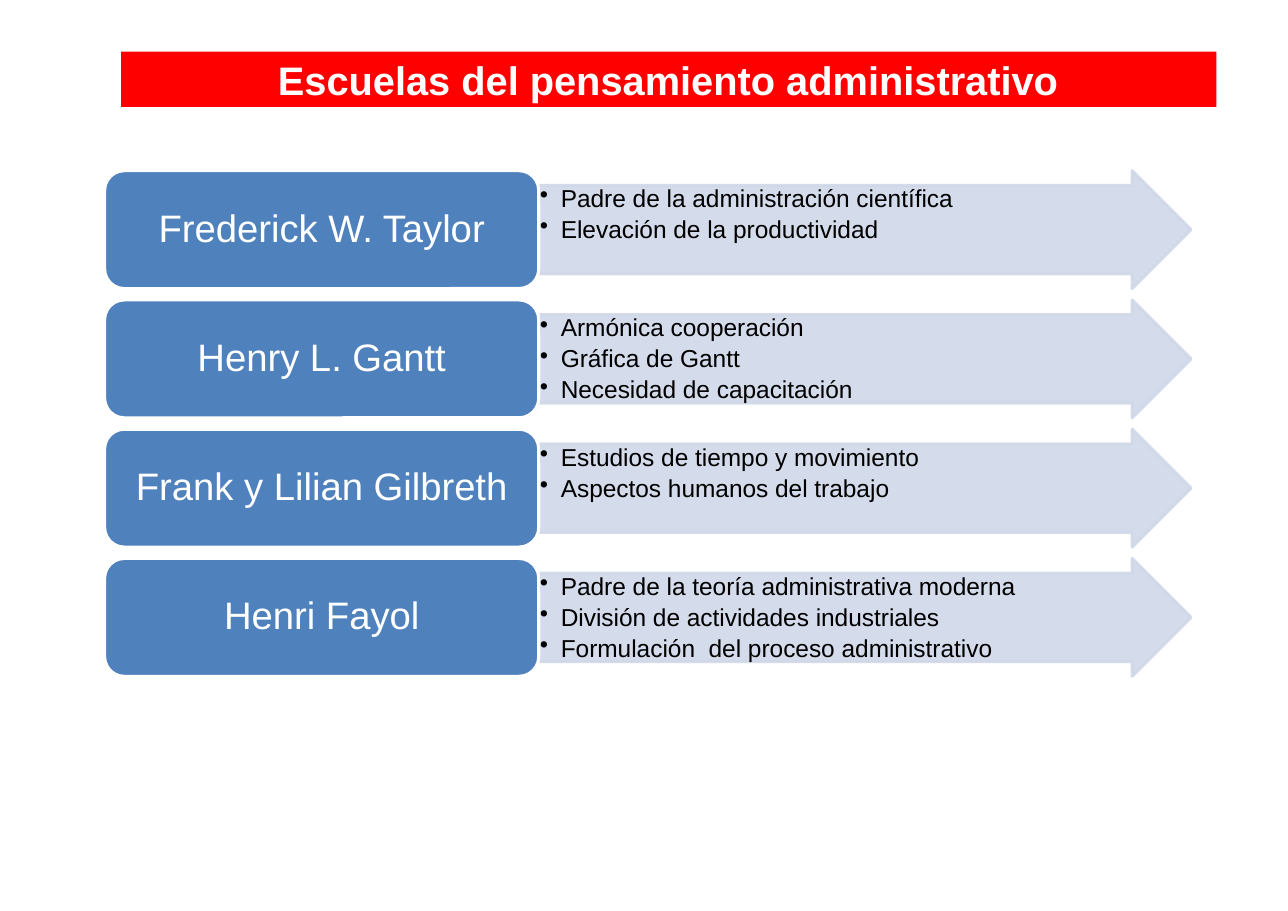
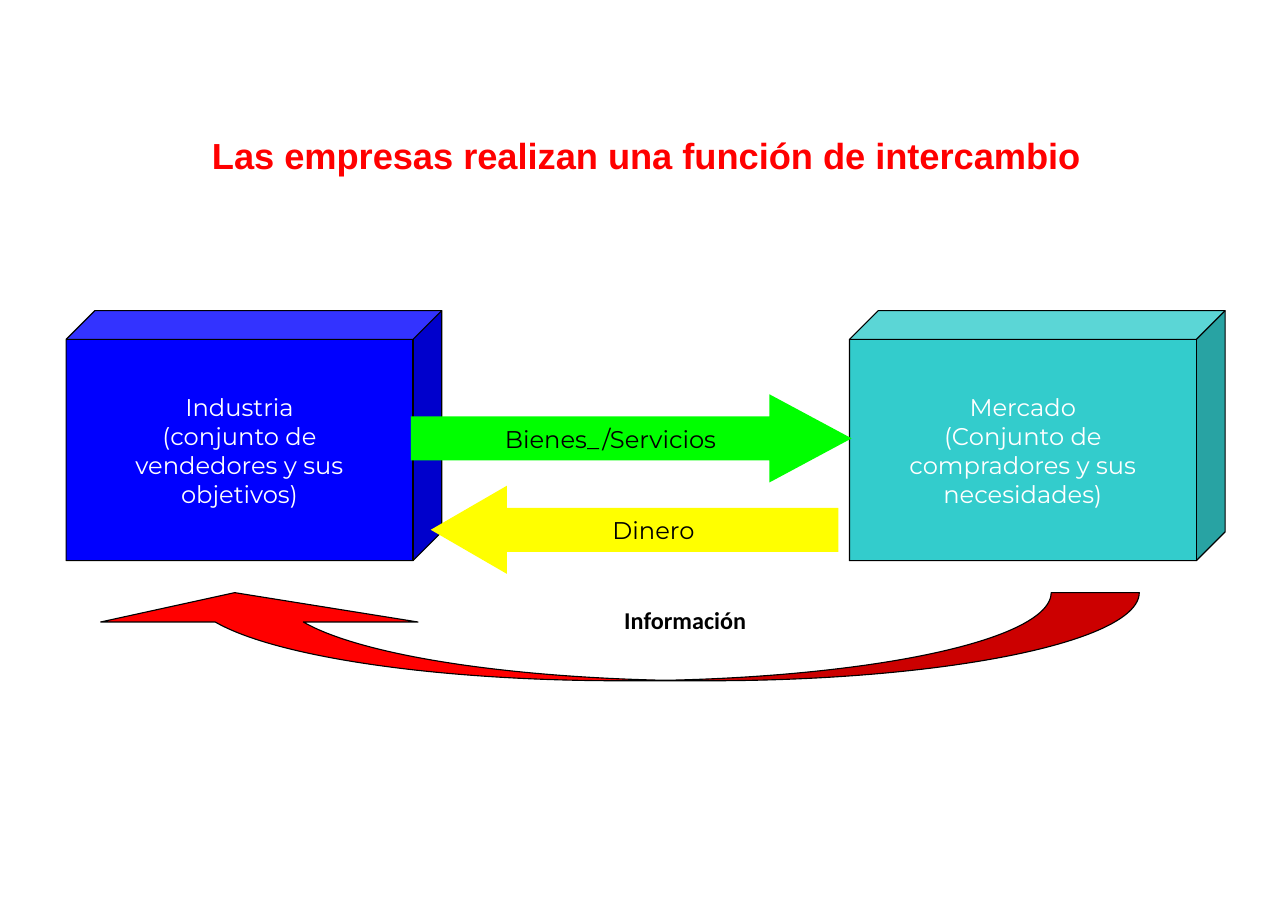
from dataclasses import dataclass

from lxml.etree import SubElement
from pptx import Presentation
from pptx.dml.color import RGBColor
from pptx.enum.shapes import MSO_SHAPE as Preset
from pptx.enum.text import MSO_ANCHOR as Anchor, PP_ALIGN as Align
from pptx.oxml.ns import qn
from pptx.util import Inches, Pt

# Content
SCHOOLS_TITLE = "Escuelas del pensamiento administrativo"
SCHOOLS = [
    ("Frederick W. Taylor", ["Padre de la administración científica",
                             "Elevación de la productividad"]),
    ("Henry L. Gantt", ["Armónica cooperación",
                        "Gráfica de Gantt",
                        "Necesidad de capacitación"]),
    ("Frank y Lilian Gilbreth", ["Estudios de tiempo y movimiento",
                                 "Aspectos humanos del trabajo"]),
    ("Henri Fayol", ["Padre de la teoría administrativa moderna",
                     "División de actividades industriales",
                     "Formulación  del proceso administrativo"]),
]

EXCHANGE_TITLE = "Las empresas realizan una función de intercambio"
INDUSTRY = ["Industria", "(conjunto de", "vendedores y sus", "objetivos)"]
MARKET = ["Mercado", "(Conjunto de", "compradores y sus", "necesidades)"]
GOODS = ["Bienes_/Servicios"]
MONEY = ["Dinero"]
INFORMATION = ["Información"]


# Shared look
@dataclass(frozen=True)
class Theme:
    white: str = "FFFFFF"
    black: str = "000000"
    red: str = "FF0000"
    author: str = "4F81BD"
    ideas: str = "D0D8E8"
    industry: str = "0000FF"
    market: str = "33CCCC"
    goods: str = "00FF00"
    money: str = "FFFF00"
    main_font: str = "Arial"
    diagram_font: str = "Montserrat"
    label_font: str = "Calibri"
    band_title_size: float = 26
    plain_title_size: float = 23.7
    author_size: float = 25
    idea_size: float = 16
    diagram_size: float = 15.8
    heavy_line: float = 2
    thin_line: float = 0.75


THEME = Theme()


def rgb(code):
    return RGBColor.from_string(code)


def add_part(slide, preset, box, fill=None, line=None, width=THEME.thin_line, adjust=()):
    """Add a preset shape; without a fill it is a plain text box."""
    place = [Inches(length) for length in box]
    if fill is None:
        return slide.shapes.add_textbox(*place)
    part = slide.shapes.add_shape(preset, *place)
    part.shadow.inherit = False
    for index, value in enumerate(adjust):
        part.adjustments[index] = value
    part.fill.solid()
    part.fill.fore_color.rgb = rgb(fill)
    if line:
        part.line.color.rgb = rgb(line)
        part.line.width = Pt(width)
    else:
        part.line.fill.background()
    return part


def write(part, lines, size, color, font=THEME.main_font, bold=False, align=Align.CENTER,
          anchor=Anchor.MIDDLE, wrap=True, inset=(0.1, 0.05)):
    frame = part.text_frame
    frame.text = "\n".join(lines)
    frame.word_wrap = wrap
    frame.vertical_anchor = anchor
    frame.margin_left = frame.margin_right = Inches(inset[0])
    frame.margin_top = frame.margin_bottom = Inches(inset[1])
    for paragraph in frame.paragraphs:
        paragraph.alignment = align
        for run in paragraph.runs:
            run.font.size = Pt(size)
            run.font.name = font
            run.font.bold = bold
            run.font.color.rgb = rgb(color)


def add_title(slide, text, box, size, color, band=None):
    title = add_part(slide, Preset.RECTANGLE, box, band)
    write(title, [text], size, color, bold=True)


def add_bullets(paragraphs, indent=0.19):
    for paragraph in paragraphs:
        paragraph.line_spacing = 0.9
        paragraph.space_after = Pt(3)
        properties = paragraph._p.get_or_add_pPr()
        properties.set("marL", str(Inches(indent)))
        properties.set("indent", str(Inches(-indent)))
        SubElement(properties, qn("a:buChar")).set("char", "•")


def make_translucent(part, percent):
    for color in part._element.spPr.iter(qn("a:srgbClr")):
        SubElement(color, qn("a:alpha")).set("val", str(percent * 1000))


# Slide 1: one row per author, name on the left and ideas in the arrow
def build_schools(slide):
    add_title(slide, SCHOOLS_TITLE, (1.1, 0.47, 9.94, 0.5),
              THEME.band_title_size, THEME.white, band=THEME.red)
    left, first_top, last_top, height = 0.95, 1.55, 5.07, 1.07
    author_width, ideas_width = 3.94, 5.92
    pitch = (last_top - first_top) / (len(SCHOOLS) - 1)

    for row, (author, ideas) in enumerate(SCHOOLS):
        top = first_top + row * pitch
        arrow = add_part(slide, Preset.RIGHT_ARROW,
                         (left + author_width, top, ideas_width, height),
                         THEME.ideas, THEME.ideas, THEME.heavy_line, (0.75, 0.5))
        make_translucent(arrow, 90)
        write(arrow, ideas, THEME.idea_size, THEME.black, align=Align.LEFT,
              anchor=Anchor.TOP, inset=(0.01, 0.01))
        add_bullets(arrow.text_frame.paragraphs)

        name_box = add_part(slide, Preset.ROUNDED_RECTANGLE,
                            (left, top, author_width, height),
                            THEME.author, THEME.white, THEME.heavy_line)
        write(name_box, [author], THEME.author_size, THEME.white)
        name_box.text_frame.paragraphs[0].line_spacing = 0.9


# Slide 2: two blocks that exchange goods, money and information
def build_exchange(slide):
    add_title(slide, EXCHANGE_TITLE, (0.6, 1.1, 10.53, 0.62),
              THEME.plain_title_size, THEME.red)

    blocks = [(0.6, THEME.industry, INDUSTRY), (7.71, THEME.market, MARKET)]
    for left, fill, lines in blocks:
        block = add_part(slide, Preset.CUBE, (left, 2.82, 3.41, 2.27),
                         fill, THEME.black, adjust=(0.115,))
        write(block, lines, THEME.diagram_size, THEME.white,
              THEME.diagram_font, wrap=False)

    flows = [
        (Preset.RIGHT_ARROW, (3.73, 3.58, 4, 0.8), THEME.goods, 0.932, GOODS),
        (Preset.LEFT_ARROW, (3.91, 4.41, 3.7, 0.8), THEME.money, 0.864, MONEY),
    ]
    for preset, box, fill, head, lines in flows:
        flow = add_part(slide, preset, box, fill, adjust=(0.5, head))
        write(flow, lines, THEME.diagram_size, THEME.black,
              THEME.diagram_font, wrap=False)

    feedback = add_part(slide, Preset.CURVED_DOWN_ARROW, (0.69, 5.38, 9.65, 0.8),
                        THEME.red, THEME.black, adjust=(1.8, 3.6, 0.333))
    feedback.rotation = 180
    label = add_part(slide, None, (4.93, 5.45, 2.58, 0.37))
    write(label, INFORMATION, THEME.diagram_size, THEME.black, THEME.label_font,
          bold=True, anchor=Anchor.TOP)


def main():
    deck = Presentation()
    deck.slide_width, deck.slide_height = Inches(11.69), Inches(8.27)
    blank = deck.slide_layouts[6]
    for build in (build_schools, build_exchange):
        build(deck.slides.add_slide(blank))
    deck.save("out.pptx")


if __name__ == "__main__":
    main()
